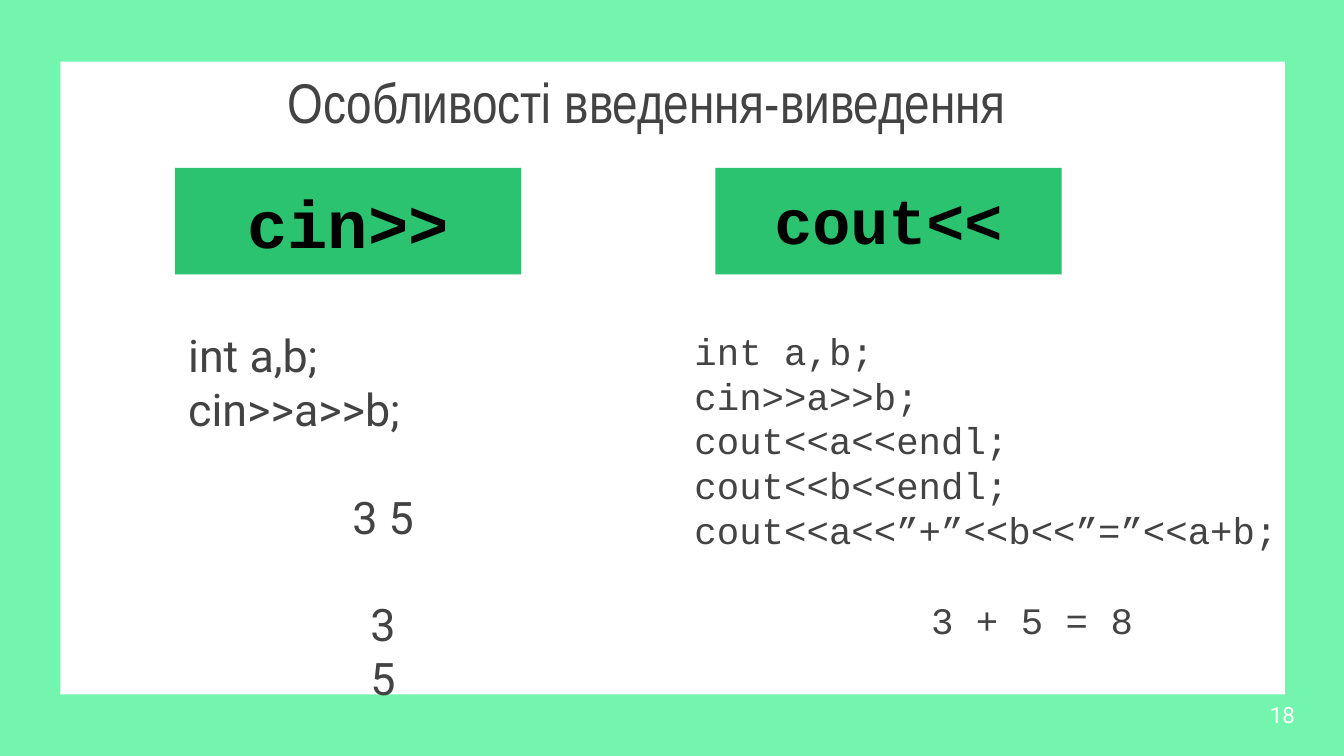
from pptx import Presentation
from pptx.dml.color import RGBColor
from pptx.enum import shapes, text
from pptx.util import Pt

MINT, GREEN, WHITE, GRAY, BLACK = "73F5AD", "2BC36F", "FFFFFF", "434343", "000000"
MONO, SANS = "Courier New", "Roboto"
LEFT, MID = text.PP_ALIGN.LEFT, text.PP_ALIGN.CENTER
LEAD = 1.2  # line height as a share of the font size

PANEL = (32.4, 33, 656, 339)
TITLE = ("Особливості введення-виведення", (147, 23.8, 622, 22.3))
PAGE = ("18", (673.2, 367.2, 43.2, 31))

# label, left edge, size
HEADS = [("cout<<", 383.3, 34), ("cin>>", 93.7, 36)]
HEAD_TOP, HEAD_W, HEAD_H = 90, 185.5, 57

# box, font, size, lines of (text, alignment, blank lines above)
CODE = [
    ((93.7, 168.5, 223, 258.5), SANS, 24, [
        ("int a,b;", LEFT, 0),
        ("cin>>a>>b;", LEFT, 0),
        ("3 5", MID, 1),
        ("3", MID, 1),
        ("5", MID, 0),
    ]),
    ((365, 168.5, 376, 153.4), MONO, 20, [
        ("int a,b;", LEFT, 0),
        ("cin>>a>>b;", LEFT, 0),
        ("cout<<a<<endl;", LEFT, 0),
        ("cout<<b<<endl;", LEFT, 0),
        ("cout<<a<<”+”<<b<<”=”<<a+b;", LEFT, 0),
        ("3 + 5 = 8", MID, 1),
    ]),
]


def rgb(code):
    return RGBColor.from_string(code)


def rect(slide, box, color):
    shape = slide.shapes.add_shape(shapes.MSO_SHAPE.RECTANGLE, *map(Pt, box))
    shape.shadow.inherit = False
    shape.fill.solid()
    shape.fill.fore_color.rgb = rgb(color)
    shape.line.fill.background()
    return shape


def write(shape, lines, font, size, color, lead, bold=False,
          anchor=text.MSO_ANCHOR.TOP):
    """Fill the shape with one paragraph for each line."""
    frame = shape.text_frame
    frame.word_wrap = True
    frame.vertical_anchor = anchor
    frame.margin_left = frame.margin_right = Pt(7.2)
    frame.margin_top = frame.margin_bottom = Pt(7.2)
    for i, (words, align, gap) in enumerate(lines):
        para = frame.add_paragraph() if i else frame.paragraphs[0]
        para.alignment = align
        para.line_spacing = lead
        if gap:
            para.space_before = Pt(gap * size * LEAD)
        run = para.add_run()
        run.text = words
        run.font.name = font
        run.font.size = Pt(size)
        run.font.bold = bold
        run.font.color.rgb = rgb(color)


def label(slide, box):
    return slide.shapes.add_textbox(*map(Pt, box))


def main():
    deck = Presentation()
    deck.slide_width, deck.slide_height = Pt(720), Pt(405)
    slide = deck.slides.add_slide(deck.slide_layouts[6])
    slide.background.fill.solid()
    slide.background.fill.fore_color.rgb = rgb(MINT)

    rect(slide, PANEL, WHITE)
    words, box = TITLE
    write(label(slide, box), [(words, LEFT, 0)], "Arial Narrow", 30, GRAY, 1.15)

    for box, font, size, lines in CODE:
        write(label(slide, box), lines, font, size, GRAY, Pt(size * LEAD))

    for words, left, size in HEADS:
        head = rect(slide, (left, HEAD_TOP, HEAD_W, HEAD_H), GREEN)
        write(head, [(words, MID, 0)], MONO, size, BLACK, Pt(size * LEAD), bold=True)

    words, box = PAGE
    write(label(slide, box), [(words, LEFT, 0)], SANS, 12, WHITE, 1.0,
          anchor=text.MSO_ANCHOR.MIDDLE)
    deck.save("out.pptx")


if __name__ == "__main__":
    main()
